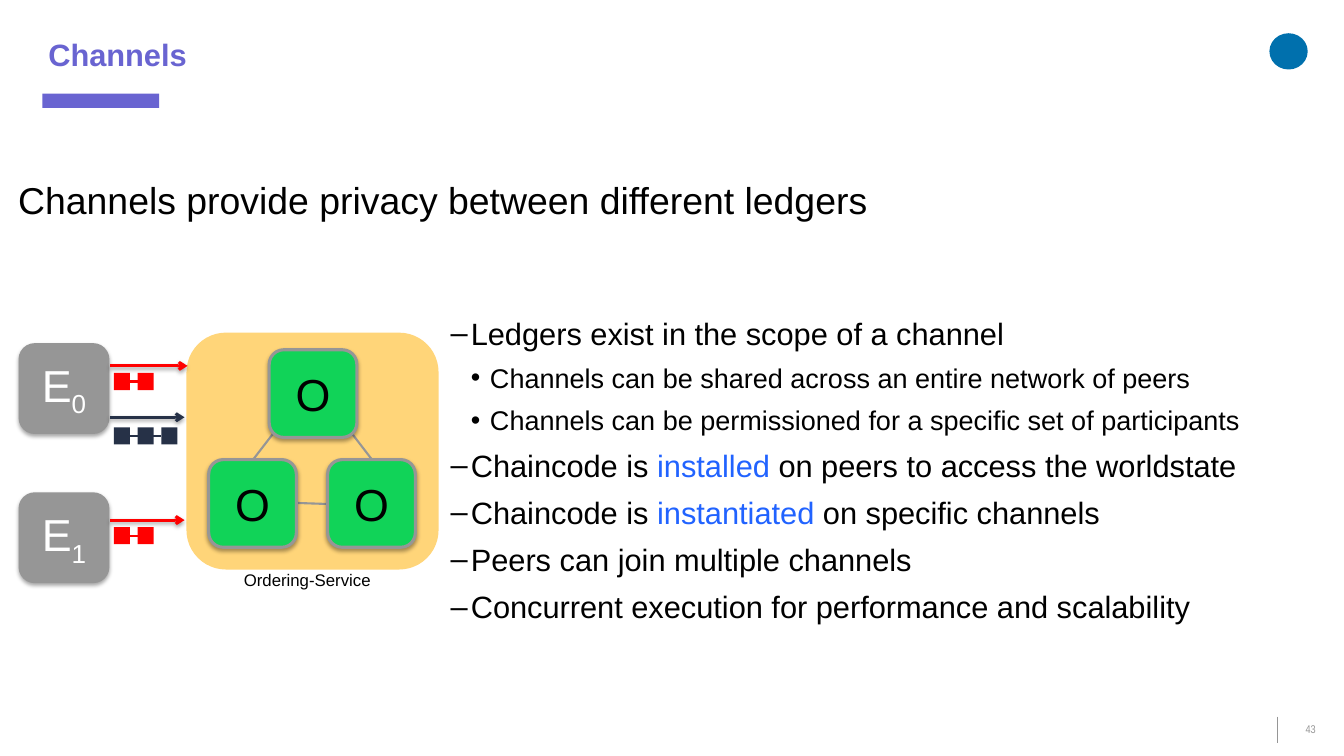
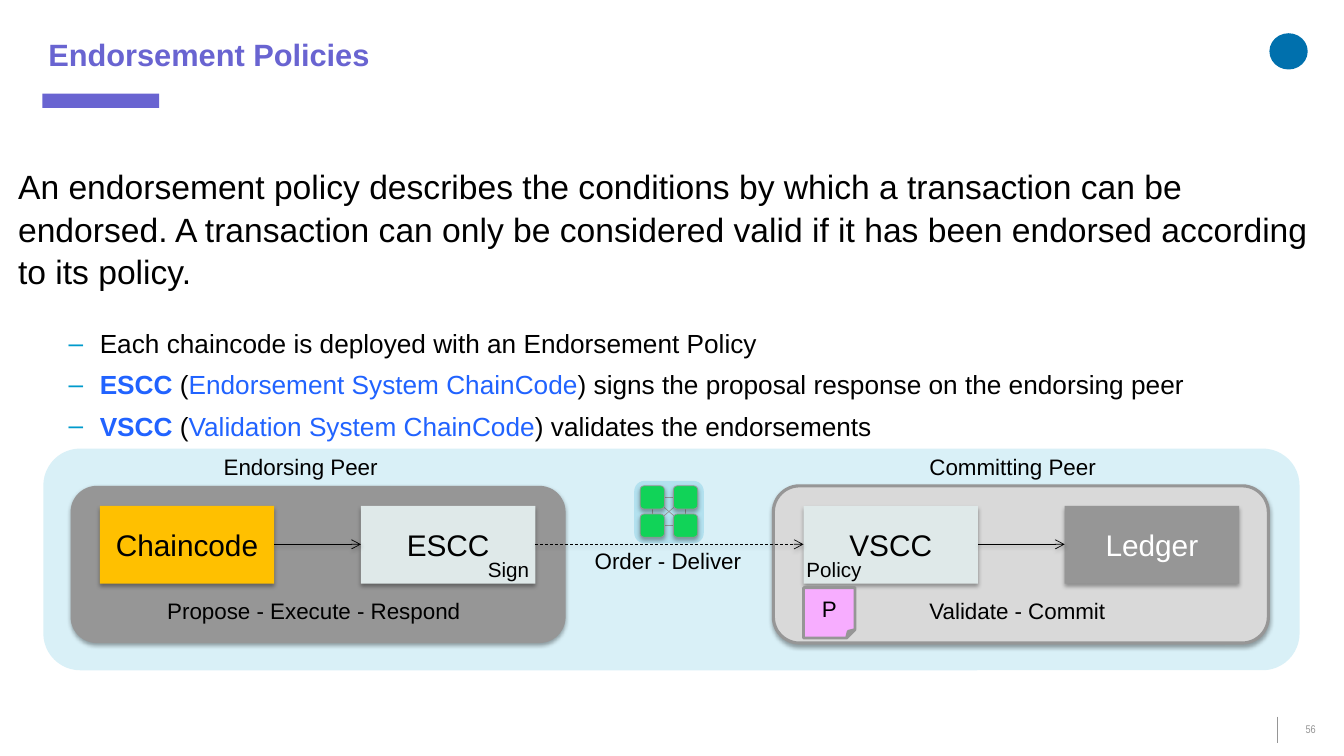
from itertools import combinations, product

from lxml.etree import SubElement
from pptx import Presentation
from pptx.dml.color import RGBColor
from pptx.enum.dml import MSO_LINE
from pptx.enum.shapes import MSO_CONNECTOR, MSO_SHAPE as SHAPE
from pptx.enum.text import MSO_ANCHOR as ANCHOR, MSO_AUTO_SIZE, PP_ALIGN as ALIGN
from pptx.oxml.ns import qn
from pptx.util import Inches, Pt

BLACK = RGBColor(0x00, 0x00, 0x00)
WHITE = RGBColor(0xFF, 0xFF, 0xFF)
VIOLET = RGBColor(0x69, 0x64, 0xD1)
BLUE = RGBColor(0x21, 0x63, 0xFF)
TEAL = RGBColor(0x00, 0x9A, 0xCC)
LOGO_BLUE = RGBColor(0x00, 0x70, 0xAD)
GRAY = RGBColor(0x96, 0x96, 0x96)
LIGHT_GRAY = RGBColor(0xD9, 0xD9, 0xD9)
PALE_GRAY = RGBColor(0xDF, 0xE9, 0xE9)
PALE_CYAN = RGBColor(0xD9, 0xF0, 0xF7)
CYAN = RGBColor(0xB3, 0xE1, 0xEF)
YELLOW = RGBColor(0xFF, 0xD5, 0x79)
AMBER = RGBColor(0xFF, 0xC0, 0x00)
GREEN = RGBColor(0x11, 0xD3, 0x58)
PINK = RGBColor(0xF7, 0xAD, 0xFF)
RED = RGBColor(0xFF, 0x00, 0x00)
NAVY = RGBColor(0x26, 0x31, 0x47)

LINE_SPACING = 1.05
DASH = {"marker": "–", "margin": 0.46, "hanging": 0.2}
DOT = {"marker": "•", "margin": 0.65, "hanging": 0.19, "level": 1}
TEAL_DASH = {"marker": "–", "margin": 0.81, "hanging": 0.31, "color": TEAL}


def set_all(target, values):
    for name, value in values.items():
        setattr(target, name, value)


def add_shadow(effects, opacity=35, distance=1.8):
    outer = SubElement(effects, qn("a:outerShdw"), blurRad=str(Pt(3.1)),
                       dist=str(Pt(distance)), dir="5400000", rotWithShape="0")
    color = SubElement(outer, qn("a:srgbClr"), val=str(BLACK))
    SubElement(color, qn("a:alpha"), val=str(opacity * 1000))


class Deck:
    """Holds the shared style and the slide being drawn."""

    def __init__(self):
        self.presentation = Presentation()
        set_all(self.presentation, {"slide_width": Inches(13.33), "slide_height": Inches(7.5)})
        self.slide = None

    def start_slide(self, title, number):
        layout = self.presentation.slide_layouts[1]
        self.slide = self.presentation.slides.add_slide(layout)
        frame = self.place(self.slide.shapes.title, 0.48, 0.35, 11.33, 0.37)
        self.fill_paragraph(frame.paragraphs[0], title, 22, VIOLET, bold=True)
        self.shape(SHAPE.RECTANGLE, 0.42, 0.93, 1.16, 0.14, VIOLET)
        self.shape(SHAPE.OVAL, 12.59, 0.33, 0.38, 0.36, LOGO_BLUE)
        self.line((12.67, 7.11), (12.67, 7.37), GRAY, 0.75)
        self.label(str(number), 12.67, 7.11, 0.66, 0.27, 8, color=GRAY, font="Arial Narrow",
                   alignment=ALIGN.CENTER, anchor=ANCHOR.MIDDLE, line_spacing=0.85)

    def place(self, placeholder, left, top, width, height):
        """Move a placeholder and give it a plain frame without insets."""
        set_all(placeholder, {"left": Inches(left), "top": Inches(top),
                              "width": Inches(width), "height": Inches(height)})
        frame = placeholder.text_frame
        set_all(frame, {"margin_left": 0, "margin_top": 0, "margin_right": 0,
                        "margin_bottom": 0, "word_wrap": True,
                        "vertical_anchor": ANCHOR.TOP, "auto_size": MSO_AUTO_SIZE.NONE})
        return frame

    def fill_paragraph(self, paragraph, content, size, color=BLACK, font="Arial", bold=False,
                       alignment=ALIGN.LEFT, **spacing):
        """Fill a paragraph from a string or from (text, overrides) runs."""
        set_all(paragraph, {"alignment": alignment, **spacing})
        runs = [(content, {})] if isinstance(content, str) else content
        for text, overrides in runs:
            values = {"name": font, "size": Pt(size), "bold": bold, **overrides}
            run_color = values.pop("color", color)
            baseline = values.pop("baseline", None)
            run = paragraph.add_run()
            run.text = text
            set_all(run.font, values)
            run.font.color.rgb = run_color
            if baseline:
                run.font._element.set("baseline", str(baseline * 1000))

    def body(self, left, top, width, height, items):
        """Fill the body placeholder from (content, size, bullet, spacing) items."""
        placeholder = self.slide.placeholders[1]
        frame = self.place(placeholder, left, top, width, height)
        for index, (content, size, bullet, spacing) in enumerate(items):
            paragraph = frame.add_paragraph() if index else frame.paragraphs[0]
            self.bullet(paragraph, **bullet)
            spacing = {"space_before": Pt(0), "space_after": Pt(0), **spacing}
            if not index:
                spacing["space_before"] = Pt(0)
            self.fill_paragraph(paragraph, content, size, line_spacing=LINE_SPACING, **spacing)

    def bullet(self, paragraph, marker=None, margin=0, hanging=0, color=BLACK, level=0):
        paragraph.level = level
        properties = paragraph._p.get_or_add_pPr()
        properties.set("marL", str(Inches(margin)))
        properties.set("indent", str(-Inches(hanging)))
        if marker is None:
            SubElement(properties, qn("a:buNone"))
            return
        marker_color = SubElement(properties, qn("a:buClr"))
        SubElement(marker_color, qn("a:srgbClr"), val=str(color))
        SubElement(properties, qn("a:buFont"), typeface="Arial")
        SubElement(properties, qn("a:buChar"), char=marker)

    def label(self, content, left, top, width, height, size, anchor=ANCHOR.TOP,
              margin=0.1, **style):
        box = self.slide.shapes.add_textbox(Inches(left), Inches(top),
                                            Inches(width), Inches(height))
        set_all(box.text_frame, {"word_wrap": True, "vertical_anchor": anchor,
                                 "margin_left": Inches(margin), "margin_right": Inches(margin)})
        self.fill_paragraph(box.text_frame.paragraphs[0], content, size, **style)

    def shape(self, kind, left, top, width, height, fill, outline=None, shadow=False,
              content=None, size=16, color=BLACK):
        """Add a filled preset shape; outline is a line width in points."""
        shape = self.slide.shapes.add_shape(kind, Inches(left), Inches(top),
                                            Inches(width), Inches(height))
        shape.fill.solid()
        shape.fill.fore_color.rgb = fill
        if outline:
            shape.line.color.rgb = GRAY
            shape.line.width = Pt(outline)
        else:
            shape.line.fill.background()
        shape.shadow.inherit = False
        if shadow:
            add_shadow(shape._element.spPr.find(qn("a:effectLst")))
        if content:
            set_all(shape.text_frame, {"word_wrap": True, "vertical_anchor": ANCHOR.MIDDLE})
            self.fill_paragraph(shape.text_frame.paragraphs[0], content, size, color,
                                alignment=ALIGN.CENTER)

    def line(self, start, end, color, width, arrow=False, dash=None):
        connector = self.slide.shapes.add_connector(
            MSO_CONNECTOR.STRAIGHT, *(Inches(value) for value in (*start, *end)))
        connector.line.color.rgb = color
        connector.line.width = Pt(width)
        if dash:
            connector.line.dash_style = dash
        effects = SubElement(connector._element.spPr, qn("a:effectLst"))
        if arrow:
            SubElement(connector.line._get_or_add_ln(), qn("a:tailEnd"), type="arrow")
            add_shadow(effects, opacity=38, distance=1.6)

    def node(self, content, left, top, fill, color=BLACK):
        self.shape(SHAPE.ROUNDED_RECTANGLE, left, top, 0.87, 0.87, fill, 2.25, True,
                   content, 32, color)

    def block_chain(self, top, count, color):
        left, pitch, width, height = 1.13, 0.235, 0.16, 0.17
        middle = top + height / 2
        self.line((left + width, middle), (left + pitch * (count - 1), middle), color, 1.5)
        for index in range(count):
            self.shape(SHAPE.RECTANGLE, left + pitch * index, top, width, height, color)


def draw_channels(deck):
    deck.start_slide("Channels", 43)
    deck.label("Channels provide privacy between different ledgers", 0.18, 1.69, 12.97, 0.55,
               26.7, margin=0, line_spacing=LINE_SPACING)
    gap = {"space_before": Pt(6)}
    blue = {"color": BLUE}
    deck.body(4.21, 3.1, 8.8, 3.3, [
        ("Ledgers exist in the scope of a channel", 22, DASH, gap),
        ("Channels can be shared across an entire network of peers", 19.3, DOT, gap),
        ("Channels can be permissioned for a specific set of participants", 19.3, DOT, gap),
        ([("Chaincode is ", {}), ("installed", blue),
          (" on peers to access the worldstate", {})], 22, DASH, gap),
        ([("Chaincode is ", {}), ("instantiated", blue),
          (" on specific channels", {})], 22, DASH, gap),
        ("Peers can join multiple channels", 22, DASH, gap),
        ("Concurrent execution for performance and scalability", 22, DASH, gap),
    ])

    deck.shape(SHAPE.ROUNDED_RECTANGLE, 1.85, 3.3, 2.5, 2.35, YELLOW)
    deck.label("Ordering-Service", 2.32, 5.6, 1.56, 0.3, 12)
    for start, end in (((2.95, 4.99), (3.25, 5)), ((2.71, 4.3), (2.51, 4.56)),
                       ((3.49, 4.3), (3.69, 4.56))):
        deck.line(start, end, GRAY, 1.5)
    for left, top in ((2.67, 3.47), (2.07, 4.56), (3.25, 4.56)):
        deck.node("O", left, top, GREEN)

    for index, top in (("0", 3.42), ("1", 4.9)):
        deck.node([("E", {}), (index, {"baseline": -25})], 0.2, top, GRAY, WHITE)
    for arrow_top, arrow_end, chain_top, count, color in (
            (3.63, 1.86, 3.7, 2, RED), (4.14, 1.83, 4.24, 3, NAVY), (5.16, 1.83, 5.23, 2, RED)):
        deck.line((1.09, arrow_top), (arrow_end, arrow_top), color, 2, arrow=True)
        deck.block_chain(chain_top, count, color)


def draw_ordering_cluster(deck):
    deck.shape(SHAPE.ROUNDED_RECTANGLE, 6.29, 4.77, 0.69, 0.62, CYAN)
    width, height = 0.24, 0.23
    corners = list(product((6.35, 6.68), (4.82, 5.1)))
    centers = [(left + width / 2, top + height / 2) for left, top in corners]
    for start, end in combinations(centers, 2):
        deck.line(start, end, GRAY, 0.5)
    for left, top in corners:
        deck.shape(SHAPE.ROUNDED_RECTANGLE, left, top, width, height, GREEN, 0.5, True)


def draw_endorsement_policies(deck):
    deck.start_slide("Endorsement Policies", 56)
    gap = {"space_after": Pt(6)}
    blue = {"color": BLUE}
    strong = {"color": BLUE, "bold": True}
    deck.body(0.18, 1.63, 12.97, 2.75, [
        ("An endorsement policy describes the conditions by which a transaction can be endorsed. "
         "A transaction can only be considered valid if it has been endorsed according to its "
         "policy.", 24, {}, {"space_after": Pt(24.7)}),
        ("Each chaincode is deployed with an Endorsement Policy", 18.7, TEAL_DASH, gap),
        ([("ESCC ", strong), ("(", {}), ("Endorsement System ChainCode", blue),
          (") signs the proposal response on the endorsing peer", {})], 18.7, TEAL_DASH, gap),
        ([("VSCC", strong), (" (", {}), ("Validation System ChainCode", blue),
          (") validates the endorsements", {})], 18.7, TEAL_DASH, gap),
    ])

    deck.shape(SHAPE.ROUNDED_RECTANGLE, 0.43, 4.45, 12.46, 2.2, PALE_CYAN)
    for left, fill, outline in ((7.67, LIGHT_GRAY, 2.25), (0.7, GRAY, None)):
        deck.shape(SHAPE.ROUNDED_RECTANGLE, left, 4.82, 4.91, 1.56, fill, outline, True)

    stages = (("Chaincode", 0.99, AMBER, BLACK), ("ESCC", 3.58, PALE_GRAY, BLACK),
              ("VSCC", 7.97, PALE_GRAY, BLACK), ("Ledger", 10.56, GRAY, WHITE))
    stage_width = 1.73
    for name, left, fill, color in stages:
        deck.shape(SHAPE.RECTANGLE, left, 5.02, stage_width, 0.77, fill, shadow=True,
                   content=name, size=21.3, color=color)
    for source, target, dash in zip(stages, stages[1:], (None, MSO_LINE.DASH, None)):
        deck.line((source[1] + stage_width, 5.4), (target[1], 5.4), BLACK, 0.5, True, dash)

    for text, left, top, width, size in (
            ("Propose - Execute - Respond", 1.56, 5.87, 3.19, 16),
            ("Order - Deliver", 5.8, 5.38, 1.73, 16),
            ("Validate - Commit", 9.12, 5.87, 2.03, 16),
            ("Sign", 4.74, 5.48, 0.71, 14.7),
            ("Policy", 7.9, 5.48, 1.05, 14.7),
            ("Endorsing Peer", 2.12, 4.45, 1.83, 16),
            ("Committing Peer", 9.12, 4.45, 2.01, 16)):
        deck.label(text, left, top, width, 0.37, size)
    draw_ordering_cluster(deck)
    deck.shape(SHAPE.FOLDED_CORNER, 7.97, 5.83, 0.51, 0.5, PINK, 2, content="P")


def main():
    deck = Deck()
    draw_channels(deck)
    draw_endorsement_policies(deck)
    deck.presentation.save("out.pptx")


if __name__ == "__main__":
    main()
